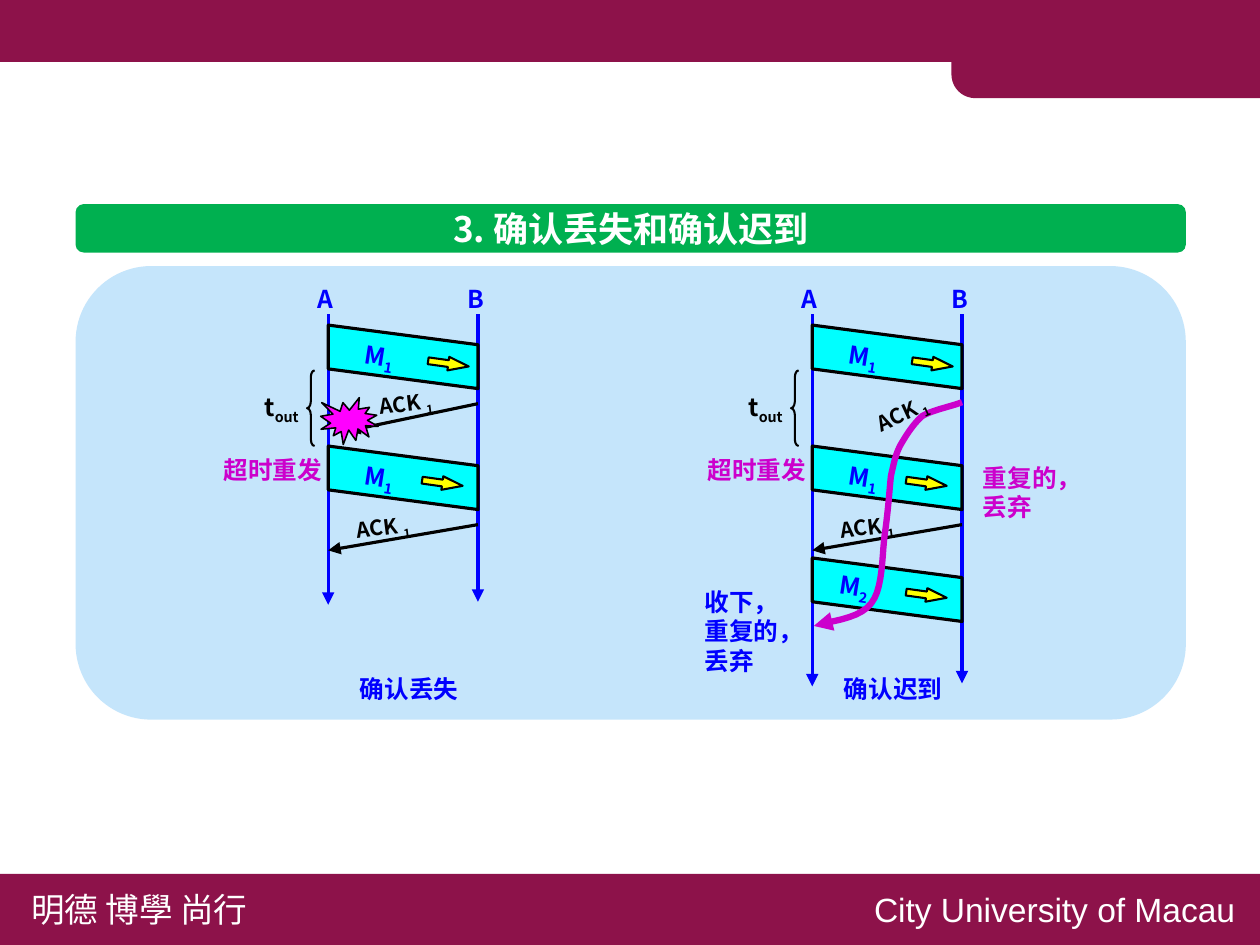
from lxml import etree
from pptx import Presentation
from pptx import util as u
from pptx.dml.color import RGBColor
from pptx.enum import shapes, text
from pptx.oxml.ns import qn

WIDE, HIGH = 8.33, 6.25
HAN = "Noto Sans CJK SC"
WINE, BLUE, PINK, BLACK, WHITE = "8D124A", "0000FF", "CC00CC", "000000", "FFFFFF"
SPAN = 0.99  # distance between the lifelines of A and B
KIND = shapes.MSO_SHAPE


def color(code):
    return RGBColor.from_string(code)


def paint(shape, fill=None, line=None, width=1.5):
    shape.shadow.inherit = False
    if fill:
        shape.fill.solid()
        shape.fill.fore_color.rgb = color(fill)
    else:
        shape.fill.background()
    if line:
        shape.line.color.rgb = color(line)
        shape.line.width = u.Pt(width)
    else:
        shape.line.fill.background()


def point(shape):
    """Put an arrowhead on the last point of a line."""
    ln = shape.line._get_or_add_ln()
    etree.SubElement(ln, qn("a:tailEnd"), type="triangle")


def block(slide, kind, box, fill=None, line=None, width=1.0, turn=0, adjust=()):
    shape = slide.shapes.add_shape(kind, *map(u.Inches, box))
    for i, value in enumerate(adjust):
        shape.adjustments[i] = value
    shape.rotation = turn
    paint(shape, fill, line, width)
    return shape


def outline(slide, points, close=True):
    spots = [(u.Inches(x), u.Inches(y)) for x, y in points]
    form = slide.shapes.build_freeform(*spots[0])
    form.add_line_segments(spots[1:], close=close)
    return form.convert_to_shape()


def bend(start, *curves, steps=10):
    """Points along a chain of cubic curves."""
    points = [start]
    for a, b, end in curves:
        for n in range(1, steps + 1):
            t = n / steps
            s = 1 - t
            points.append(tuple(
                s**3 * p + 3 * s * s * t * q + 3 * s * t * t * r + t**3 * e
                for p, q, r, e in zip(start, a, b, end)))
        start = end
    return points


def arrow(slide, start, end, tint=BLACK):
    line = slide.shapes.add_connector(
        shapes.MSO_CONNECTOR.STRAIGHT, *map(u.Inches, start + end))
    line.line.color.rgb = color(tint)
    line.line.width = u.Pt(1.5)
    point(line)
    etree.SubElement(line._element.spPr, qn("a:effectLst"))


def write(frame, words, size, tint, bold=True, face=HAN, align=None):
    """Fill a frame; what follows an underscore is a subscript."""
    for n, row in enumerate(words.split("\n")):
        para = frame.add_paragraph() if n else frame.paragraphs[0]
        main, _, low = row.partition("_")
        para.add_run().text = main
        if low:
            run = para.add_run()
            run.text = low
            run.font._rPr.set("baseline", "-25000")
        para.alignment = align
        font = para.font
        font.size, font.bold, font.name = u.Pt(size), bold, face
        font.color.rgb = color(tint)
        etree.SubElement(font._rPr, qn("a:ea"), typeface=face)


def label(slide, words, box, tint=BLACK, size=11.7, turn=0, wrap=False,
          pad=(0.1, 0.05), **style):
    note = slide.shapes.add_textbox(*map(u.Inches, box))
    note.rotation = turn
    frame = note.text_frame
    frame.word_wrap = wrap
    frame.auto_size = text.MSO_AUTO_SIZE.SHAPE_TO_FIT_TEXT
    frame.margin_left = frame.margin_right = u.Inches(pad[0])
    frame.margin_top = frame.margin_bottom = u.Inches(pad[1])
    write(frame, words, size, tint, **style)


def border(slide):
    block(slide, KIND.RECTANGLE, (0, 0, WIDE, 0.41), WINE)
    corner = bend((6.45, 0.65), ((6.36, 0.65), (6.29, 0.58), (6.29, 0.49)))
    paint(outline(slide, [(WIDE, 0.02), (WIDE, 0.65), *corner, (6.29, 0.02)]), WINE)
    block(slide, KIND.RECTANGLE, (0, 5.78, WIDE, HIGH - 5.78), WINE)
    label(slide, "明德 博學 尚行", (0.11, 5.83, 1.68, 0.37), WHITE, 16, bold=False)
    label(slide, "City University of Macau", (5.68, 5.83, 2.62, 0.37), WHITE, 16,
          bold=False, face="Arial")


def heading(slide, box):
    block(slide, KIND.ROUNDED_RECTANGLE, box, "00B050", adjust=[0.167])
    title = slide.shapes.title
    title.left, title.top, title.width, title.height = map(u.Inches, box)
    frame = title.text_frame
    frame.word_wrap = True
    frame.auto_size = text.MSO_AUTO_SIZE.NONE
    frame.margin_top = frame.margin_bottom = 0
    frame.vertical_anchor = text.MSO_ANCHOR.MIDDLE
    write(frame, "3. 确认丢失和确认迟到", 16.7, WHITE, align=text.PP_ALIGN.CENTER)
    slide.shapes._spTree.append(title._element)  # in front of the bar


def message(slide, x, y, words, mark=(0.62, 0.2), spot=(0.16, 0.07)):
    """A slanted band from A to B with its arrow and its name."""
    band = outline(slide, [(x, y), (x + SPAN, y + 0.13), (x + SPAN, y + 0.42),
                           (x, y + 0.29)])
    paint(band, "00FFFF", BLACK)
    block(slide, KIND.RIGHT_ARROW, (x + mark[0], y + mark[1], 0.27, 0.09),
          "FFFF00", BLACK, turn=8, adjust=[0.5, 1.5])
    label(slide, words, (x + spot[0], y + spot[1], 0.4, 0.28), BLUE, turn=9,
          pad=(0.08, 0.04))


def reply(slide, x, y, turn=-7.2):
    label(slide, "ACK _1", (x, y, 0.6, 0.27), size=10, turn=turn)


def exchange(slide, x, y, end, name):
    """What both cases share; x is the line of A, y the top of the lines."""
    for side, dx, low in (("A", 0, end), ("B", SPAN, end - 0.02)):
        arrow(slide, (x + dx, y), (x + dx, low), BLUE)
        label(slide, side, (x + dx - 0.15, y - 0.24, 0.29, 0.28), BLUE,
              pad=(0.08, 0.04))
    message(slide, x, y + 0.07, "M_1", mark=(0.66, 0.21))
    message(slide, x, y + 0.87, "M_1")
    arrow(slide, (x + SPAN, y + 1.39), (x, y + 1.56))
    reply(slide, x + 0.09, y + 1.27)
    block(slide, KIND.LEFT_BRACE, (x - 0.14, y + 0.37, 0.05, 0.5), line=BLACK,
          adjust=[0.869, 0.5])
    label(slide, "t_out", (x - 0.52, y + 0.46, 0.46, 0.3))
    label(slide, "超时重发", (x - 0.79, y + 0.88, 0.85, 0.3), PINK)
    label(slide, name, (x + 0.11, y + 2.33, 0.85, 0.3), BLUE)


def lost(slide, x, y):
    exchange(slide, x, y, y + 1.92, "确认丢失")
    arrow(slide, (x + SPAN, y + 0.59), (x + 0.13, y + 0.77))
    reply(slide, x + 0.24, y + 0.45)
    block(slide, KIND.EXPLOSION1, (x - 0.05, y + 0.55, 0.38, 0.31), "FF00FF",
          BLACK, 0.75)


def late(slide, x, y):
    exchange(slide, x, y, y + 2.46, "确认迟到")
    message(slide, x, y + 1.61, "M_2", spot=(0.1, 0.05))
    label(slide, "收下，\n重复的，\n丢弃", (x - 0.81, y + 1.75, 0.87, 0.69), BLUE,
          wrap=True)
    track = bend((0.99, 0.58),
                 ((0.95, 0.6), (0.8, 0.63), (0.73, 0.67)),
                 ((0.67, 0.72), (0.62, 0.8), (0.58, 0.87)),
                 ((0.55, 0.93), (0.54, 0.98), (0.52, 1.07)),
                 ((0.51, 1.17), (0.5, 1.31), (0.48, 1.45)),
                 ((0.46, 1.59), (0.47, 1.81), (0.39, 1.91)),
                 ((0.31, 2.02), (0.09, 2.03), (0.01, 2.06)))
    delay = outline(slide, [(x + dx, y + dy) for dx, dy in track], close=False)
    paint(delay, line=PINK, width=3)
    point(delay)
    reply(slide, x + 0.32, y + 0.51, turn=-24.7)
    label(slide, "重复的，\n丢弃", (x + 1.03, y + 0.93, 0.77, 0.49), PINK, wrap=True)


def main():
    deck = Presentation()
    deck.slide_width, deck.slide_height = u.Inches(WIDE), u.Inches(HIGH)
    slide = deck.slides.add_slide(deck.slide_layouts[5])
    border(slide)
    heading(slide, (0.5, 1.35, 7.34, 0.32))
    block(slide, KIND.ROUNDED_RECTANGLE, (0.5, 1.76, 7.34, 3), "C5E5FB")
    lost(slide, 2.17, 2.08)
    late(slide, 5.37, 2.08)
    deck.save("out.pptx")


if __name__ == "__main__":
    main()
